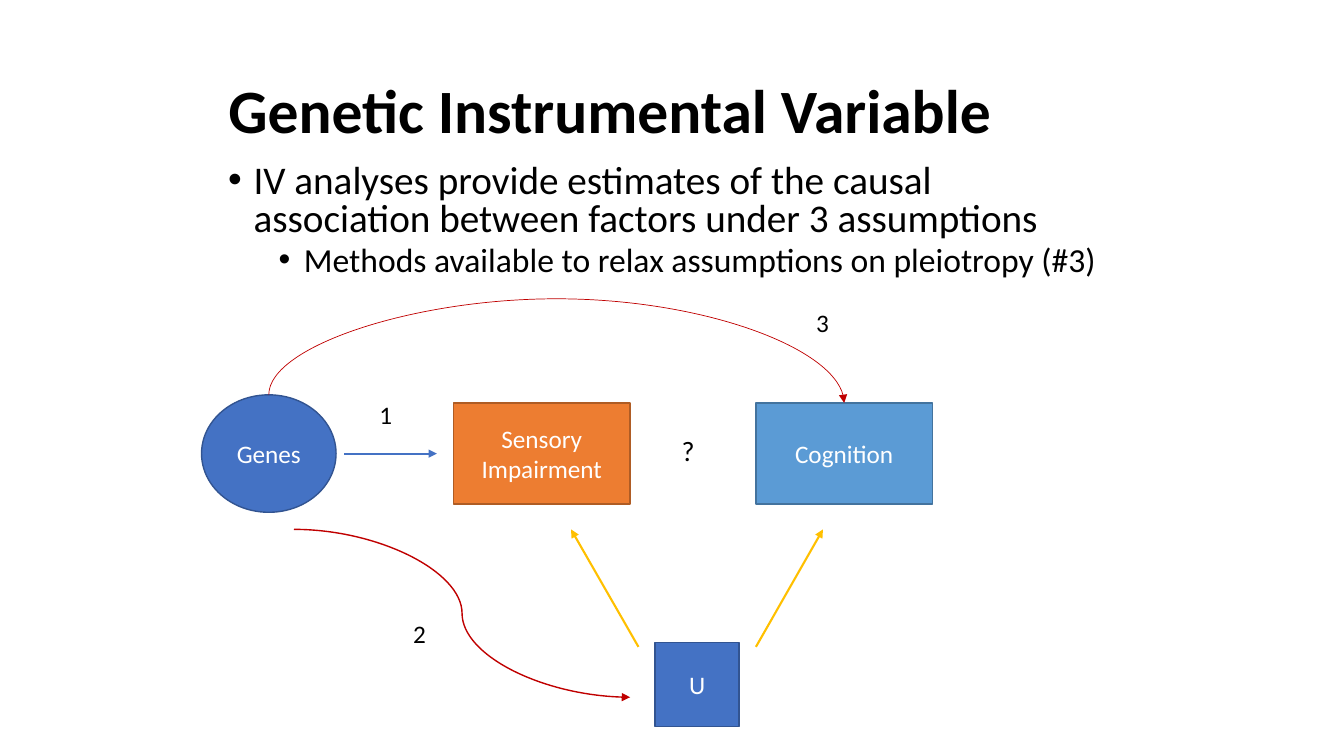
"""Build a slide that explains the genetic instrumental variable diagram."""
from lxml import etree
from pptx import Presentation, util as u
from pptx.dml.color import RGBColor
from pptx.enum import shapes, text
from pptx.oxml.ns import qn

THEME = {
    "font": "Calibri", "black": "000000", "white": "FFFFFF",
    "blue": "4472C4", "blue_edge": "325491", "sky": "5B9BD5", "sky_edge": "43739E",
    "orange": "ED7D31", "orange_edge": "AF5C24", "gold": "FFC000", "red": "C00000",
    "title": 44, "body": 28, "detail": 24, "question": 20, "label": 18,
}


def color(name):
    return RGBColor.from_string(THEME[name])


def write(paragraph, words, size, ink="black", **formats):
    run = paragraph.add_run()
    run.text = words
    run.font.color.rgb = color(ink)
    values = {"name": THEME["font"], "size": u.Pt(THEME[size]), **formats}
    for attribute, value in values.items():
        setattr(run.font, attribute, value)


presentation = Presentation()
presentation.slide_width, presentation.slide_height = u.Cm(33.87), u.Cm(19.05)
slide = presentation.slides.add_slide(presentation.slide_layouts[5])

title = slide.shapes.title
title_format = {"left": u.Cm(5.5), "top": u.Cm(1.48), "width": u.Cm(22.86), "height": u.Cm(2.75)}
for attribute, value in title_format.items():
    setattr(title, attribute, value)
title.text_frame.vertical_anchor = text.MSO_ANCHOR.MIDDLE
heading = title.text_frame.paragraphs[0]
heading.alignment, heading.line_spacing = text.PP_ALIGN.LEFT, 0.9
write(heading, "Genetic Instrumental Variable", "title", bold=True)

body = slide.shapes.add_textbox(u.Cm(5.5), u.Cm(4.02), u.Cm(22.86), u.Cm(3.18)).text_frame
body.word_wrap = True
bullets = [
    ("IV analyses provide estimates of the causal association between factors under 3 assumptions",
     "body", 0, 0.64, 10),
    ("Methods available to relax assumptions on pleiotropy (#3)", "detail", 1, 1.91, 5),
]
for words, size, level, indent, space in bullets:
    paragraph = body.add_paragraph() if level else body.paragraphs[0]
    bullet_format = {"level": level, "line_spacing": 0.8, "space_before": u.Pt(space)}
    for attribute, value in bullet_format.items():
        setattr(paragraph, attribute, value)
    properties = paragraph._p.get_or_add_pPr()
    properties.set("marL", str(u.Cm(indent)))
    properties.set("indent", str(u.Cm(-0.64)))
    etree.SubElement(properties, qn("a:buFont")).set("typeface", "Arial")
    etree.SubElement(properties, qn("a:buChar")).set("char", "•")
    write(paragraph, words, size)

rectangle, ellipse = shapes.MSO_SHAPE.RECTANGLE, shapes.MSO_SHAPE.OVAL
nodes = [
    ("Sensory Impairment", rectangle, "orange", 11.43, 10.16, 4.45, 2.54),
    ("Cognition", rectangle, "sky", 19.05, 10.16, 4.45, 2.54),
    ("U", rectangle, "blue", 16.51, 16.19, 2.12, 2.12),
    ("Genes", ellipse, "blue", 5.08, 9.95, 3.39, 2.96),
]
for words, outline, fill, *box in nodes:
    node = slide.shapes.add_shape(outline, *map(u.Cm, box))
    node.shadow.inherit = False
    node.fill.solid()
    node.fill.fore_color.rgb = color(fill)
    node.line.color.rgb = color(fill + "_edge")
    node.line.width = u.Pt(1)
    node.text_frame.vertical_anchor = text.MSO_ANCHOR.MIDDLE
    paragraph = node.text_frame.paragraphs[0]
    paragraph.alignment = text.PP_ALIGN.CENTER
    write(paragraph, words, "label", "white")

straight, curve = shapes.MSO_CONNECTOR.STRAIGHT, shapes.MSO_CONNECTOR.CURVE
arrows = [
    (straight, "gold", 1.5, 16.09, 16.3, 14.39, 13.34),
    (straight, "gold", 1.5, 19.05, 16.3, 20.74, 13.34),
    (straight, "blue", 1.5, 8.68, 11.43, 11.01, 11.43),
    (curve, "red", 1, 7.41, 13.34, 15.88, 17.57),
    (curve, "red", 0.5, 14.13, 2.8, 13.92, 17.3),
]
for kind, ink, width, *ends in arrows:
    arrow = slide.shapes.add_connector(kind, *map(u.Cm, ends))
    arrow.line.color.rgb = color(ink)
    arrow.line.width = u.Pt(width)
    etree.SubElement(arrow.line._get_or_add_ln(), qn("a:tailEnd")).set("type", "triangle")
    etree.SubElement(arrow._element.spPr, qn("a:effectLst"))

arch = arrow._element.spPr
arch.find(qn("a:xfrm")).set("rot", str(270 * 60000))
guide = etree.SubElement(arch.find(".//" + qn("a:avLst")), qn("a:gd"))
guide.set("name", "adj1")
guide.set("fmla", "val -1150000")

labels = [
    ("1", "label", 9.31, 9.95, 1.69, 1.07),
    ("2", "label", 10.16, 15.45, 1.27, 1.03),
    ("3", "label", 20.32, 7.62, 1.69, 1.03),
    ("?", "question", 16.93, 10.8, 1.27, 1.11),
]
for words, size, *box in labels:
    label = slide.shapes.add_textbox(*map(u.Cm, box)).text_frame
    label.word_wrap = True
    label.auto_size = text.MSO_AUTO_SIZE.SHAPE_TO_FIT_TEXT
    write(label.paragraphs[0], words, size)

presentation.save("out.pptx")
